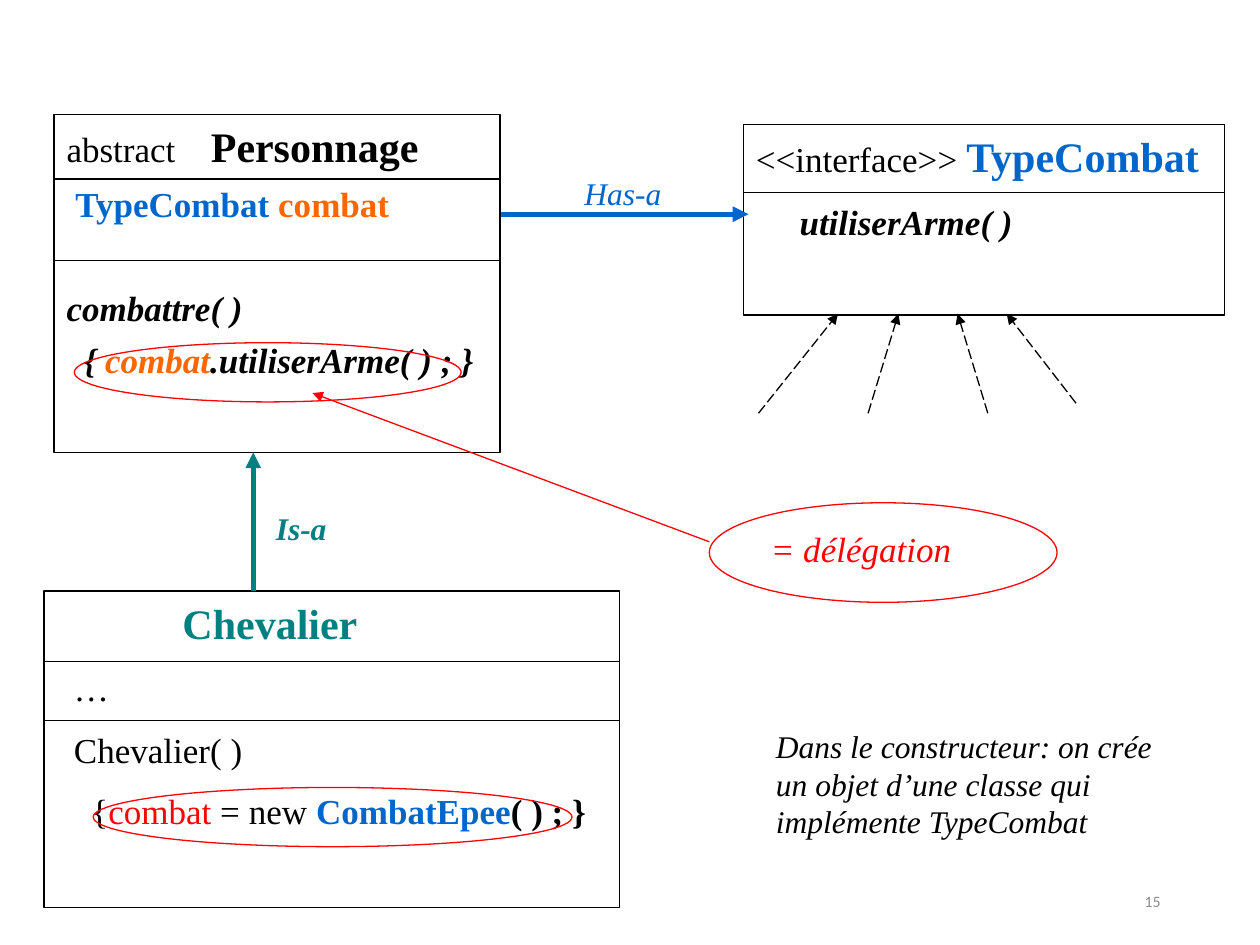
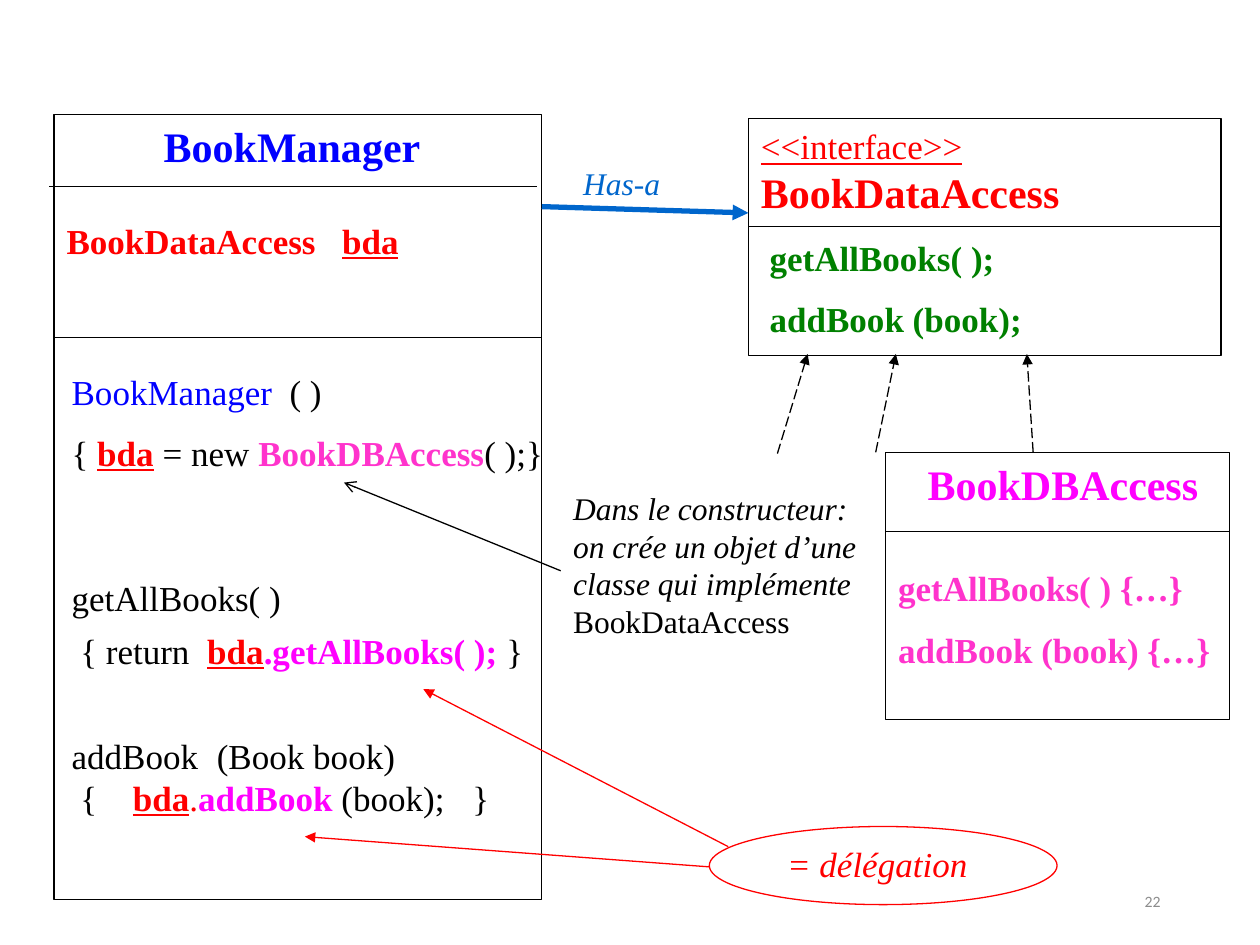
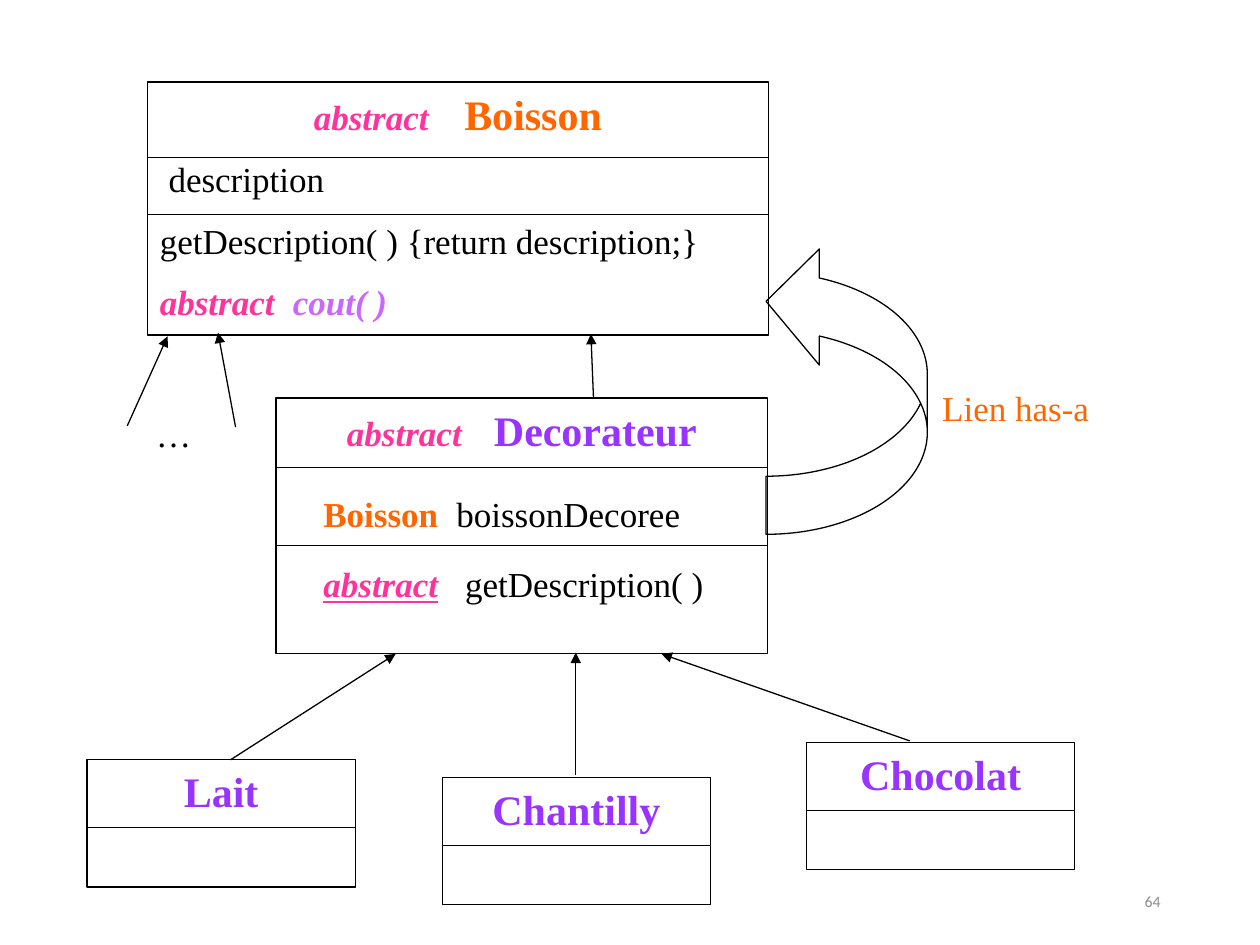
from dataclasses import dataclass

from lxml import etree
from pptx import Presentation
from pptx.dml.color import RGBColor
from pptx.enum.dml import MSO_LINE
from pptx.enum.shapes import MSO_CONNECTOR, MSO_SHAPE
from pptx.enum.text import MSO_ANCHOR, PP_ALIGN
from pptx.oxml.ns import qn
from pptx.util import Inches, Pt

DASH = MSO_LINE.LONG_DASH
STRAIGHT = MSO_CONNECTOR.STRAIGHT
RECTANGLE, ELLIPSE = MSO_SHAPE.RECTANGLE, MSO_SHAPE.OVAL
CURVED_ARROW = MSO_SHAPE.CURVED_RIGHT_ARROW
CENTER, RIGHT = PP_ALIGN.CENTER, PP_ALIGN.RIGHT
MIDDLE = MSO_ANCHOR.MIDDLE

COLORS = {
    "black": "000000", "white": "FFFFFF", "gray": "8C8C8C", "red": "FF0000",
    "blue": "0066CC", "pure blue": "0000FF", "teal": "008080", "green": "008000",
    "orange": "FF6600", "magenta": "FF00FF", "pink": "FF33CC", "rose": "FF3399",
    "lilac": "CC66FF", "violet": "9933FF",
}
BODY_FONT, NUMBER_FONT = "Times New Roman", "Calibri"
BODY, LABEL, NAME = 20, 18, 24
THIN, THICK = 0.75, 3
SUBCLASS_SIZE, SUBCLASS_HEADER = (2.13, 1.01), 0.54
NUMBER_AREA = (7.06, 6.95, 2.25, 0.4)


@dataclass
class Line:
    runs: list
    size: int = BODY
    before: float = 11
    spacing: float = 1.0
    indent: float = 0
    stops: tuple = ()
    align: object = None
    font: str = BODY_FONT


def plain(text, color="black", style="", **options):
    return Line([(text, color, style)], **options)


def class_name(text, color, **options):
    return plain(text, color, "b", size=NAME, **options)


def has_a(left, top):
    return ((left, top, 0.94, 0.4), [plain("Has-a", "blue", "i", size=LABEL)])


def delegation(left, top, **options):
    return ((left, top, 2.84, 0.43), [plain("= délégation", "red", "i", **options)])


def implementations(bottom_top_pairs):
    return [(start, end, "black", THIN, "triangle", DASH) for start, end in bottom_top_pairs]


COMBAT = {
    "number": "15",
    "classes": [
        ((0.43, 0.91, 3.54, 2.68), (1.42, 2.07), [
            Line([("abstract\t", "black", ""), ("Personnage", "black", "b", NAME)], stops=(82.5,)),
            Line([("TypeCombat", "blue", "b"), (" combat", "orange", "b")],
                 spacing=0.8, indent=5),
            plain("combattre( )", style="bi", spacing=0.8, before=40),
            Line([("{ ", "black", "bi"), ("combat", "orange", "bi"),
                  (".utiliserArme( ) ; }", "black", "bi")], spacing=0.8, indent=10),
        ]),
        ((5.9, 0.99, 3.82, 1.51), (1.53,), [
            Line([("<<interface>> ", "black", ""), ("TypeCombat", "blue", "b", NAME)]),
            plain("utiliserArme( )", style="bi", indent=25),
        ]),
        ((0.35, 4.69, 4.57, 2.51), (5.25, 5.72), [
            class_name("Chevalier", "teal", indent=72),
            plain("…", indent=10),
            plain("Chevalier( )", indent=10),
            Line([("{", "black", ""), ("combat", "red", ""), (" = new ", "black", ""),
                  ("CombatEpee", "blue", "b"), ("( ) ; }", "black", "b")], indent=20),
        ]),
    ],
    "texts": [
        has_a(4.54, 1.33),
        ((2.09, 3.99, 0.71, 0.4), [plain("Is-a", "teal", "bi", size=LABEL)]),
        ((6.06, 5.72, 3.31, 1), [
            plain("Dans le constructeur: on crée un objet d’une classe qui implémente TypeCombat",
                  style="i", size=LABEL)]),
        delegation(6.02, 4.14),
    ],
    "ellipses": [(5.63, 3.99, 2.76, 0.79), (0.59, 2.72, 3.07, 0.47), (0.74, 6.25, 3.8, 0.47)],
    "lines": [
        ((3.98, 1.7), (5.94, 1.7), "blue", THICK, "triangle"),
        ((2.01, 4.69), (2.01, 3.59), "teal", THICK, "triangle"),
        ((5.63, 4.3), (2.48, 3.12), "red", THIN, "triangle"),
    ] + implementations([
        ((6.02, 3.28), (6.65, 2.49)), ((6.89, 3.28), (7.13, 2.49)),
        ((7.84, 3.28), (7.6, 2.49)), ((8.54, 3.2), (7.99, 2.49))]),
}

BOOKS = {
    "number": "22",
    "classes": [
        ((0.43, 0.91, 3.87, 6.23), (2.68,), [
            class_name("BookManager", "pure blue", indent=55.5),
            Line([("BookDataAccess\t", "red", "b"), ("bda", "red", "bu")],
                 spacing=0.8, before=32, stops=(157.5,)),
        ]),
        ((5.94, 0.94, 3.75, 1.88), (1.8,), [
            Line([("<<interface>> ", "red", "u"), ("BookDataAccess", "red", "b", NAME)]),
            plain("getAllBooks( );", "green", "b", indent=5),
            plain("addBook (book);", "green", "b", indent=5),
        ]),
        ((7.03, 3.59, 2.73, 2.12), (4.22,), [
            class_name("BookDBAccess", "magenta", align=CENTER, indent=6)]),
    ],
    "texts": [
        has_a(4.53, 1.25),
        ((4.45, 3.83, 2.73, 1.31), [
            plain("Dans le constructeur:", style="i", size=LABEL),
            plain("on crée un objet d’une", style="i", size=LABEL, before=0),
            plain("classe qui implémente", style="i", size=LABEL, before=0),
            plain("BookDataAccess", size=LABEL, before=0)]),
        delegation(5.94, 6.64, indent=15),
        ((0.47, 2.89, 3.98, 1.2), [
            Line([("BookManager\t", "pure blue", ""), ("( )", "black", "")], stops=(124.5,)),
            Line([("{ ", "black", ""), ("bda", "red", "bu"), (" = new ", "black", ""),
                  ("BookDBAccess", "pink", "b"), ("( );}", "black", "")])]),
        ((0.47, 4.53, 4.06, 2.56), [
            plain("getAllBooks( )"),
            Line([("\t{ return\t", "black", ""), ("bda", "red", "bu"),
                  (".getAllBooks( ); ", "magenta", "b"), ("}", "black", "")],
                 before=6, stops=(5, 77.5)),
            plain("addBook\t(Book book)", before=36, stops=(83,)),
            Line([("\t{\t", "black", ""), ("bda", "red", "bu"), (".", "red", ""),
                  ("addBook ", "magenta", "b"), ("(book);\t}", "black", "")],
                 before=0, stops=(5, 35, 229))]),
        ((7.03, 4.45, 2.81, 1.2), [
            plain("getAllBooks( ) {…}", "pink", "b"),
            plain("addBook (book) {…}", "pink", "b")]),
    ],
    "ellipses": [(5.63, 6.56, 2.76, 0.62)],
    "lines": [
        ((0.39, 1.48), (4.26, 1.48), "black", THIN),
        ((4.3, 1.64), (5.94, 1.69), "blue", THICK, "triangle"),
        ((5.78, 6.72), (3.36, 5.47), "red", THIN, "triangle"),
        ((5.63, 6.88), (2.42, 6.64), "red", THIN, "triangle"),
        ((4.45, 4.53), (2.73, 3.83), "black", THIN, "arrow"),
    ] + implementations([
        ((6.17, 3.6), (6.41, 2.81)), ((6.95, 3.59), (7.11, 2.81)),
        ((8.2, 3.59), (8.15, 2.81))]),
}

SUBCLASSES = [("Lait", 0.69, 6.03), ("Chantilly", 3.51, 6.17), ("Chocolat", 6.4, 5.89)]
INHERITANCE = [
    ((1.01, 3.38), (1.33, 2.67)), ((1.87, 3.39), (1.73, 2.64)), ((4.71, 3.15), (4.69, 2.65)),
    ((1.83, 6.03), (3.14, 5.19)), ((4.57, 6.15), (4.57, 5.18)), ((7.22, 5.88), (5.25, 5.19)),
]
DRINKS = {
    "number": "64",
    "classes": [
        ((1.17, 0.65, 4.93, 2.01), (1.25, 1.7), [
            Line([("\tabstract\t", "rose", "bi"), ("Boisson", "orange", "b", NAME)],
                 stops=(88, 174)),
            plain("description", indent=5),
            plain("getDescription( ) {return description;}"),
            Line([("abstract\t", "rose", "bi"), ("cout( )", "lilac", "bi")], stops=(76,)),
        ]),
        ((2.19, 3.16, 3.9, 2.03), (3.71, 4.33), [
            Line([("\tabstract\t", "rose", "bi"), ("Decorateur", "violet", "b", NAME)],
                 stops=(33.5, 117.5)),
            Line([("\tBoisson\t", "orange", "b"), ("boissonDecoree", "black", "")],
                 spacing=0.85, before=25, stops=(20, 96)),
            Line([("\t", "black", ""), ("abstract", "rose", "biu"),
                  ("\tgetDescription( )", "black", "")],
                 spacing=0.85, before=20, stops=(20, 101)),
        ]),
    ] + [
        ((left, top, *SUBCLASS_SIZE), (top + SUBCLASS_HEADER,),
         [class_name(name, "violet", align=CENTER)])
        for name, left, top in SUBCLASSES
    ],
    "texts": [
        ((1.14, 3.26, 1.53, 0.4), [plain("…", spacing=0.9)]),
        ((7.38, 3.06, 1.53, 0.4), [plain("Lien has-a", "orange", spacing=0.9)]),
    ],
    "curved arrow": ((6.08, 1.93, 1.28, 2.31), (0.36, 0.72, 0.33)),
    "lines": [(start, end, "black", THIN, "triangle") for start, end in INHERITANCE],
}


def rgb(color):
    return RGBColor.from_string(COLORS[color])


def fill_text(frame, lines):
    frame.word_wrap = True
    for index, line in enumerate(lines):
        paragraph = frame.add_paragraph() if index else frame.paragraphs[0]
        paragraph.alignment = line.align or PP_ALIGN.LEFT
        paragraph.line_spacing = line.spacing
        paragraph.space_before = Pt(line.before if index else 0)
        paragraph.font.name = line.font
        paragraph.font.size = Pt(line.size)
        set_indent_and_stops(paragraph, line)
        for text, color, style, *size in line.runs:
            run = paragraph.add_run()
            run.text = text
            run.font.color.rgb = rgb(color)
            run.font.bold = "b" in style
            run.font.italic = "i" in style
            run.font.underline = "u" in style
            if size:
                run.font.size = Pt(size[0])


def set_indent_and_stops(paragraph, line):
    properties = paragraph._p.get_or_add_pPr()
    if line.indent:
        properties.set("marL", str(Pt(line.indent)))
        properties.set("indent", "0")
    if line.stops:
        tab_list = etree.Element(qn("a:tabLst"))
        for stop in line.stops:
            etree.SubElement(tab_list, qn("a:tab"), pos=str(Pt(stop)), algn="l")
        properties.find(qn("a:defRPr")).addprevious(tab_list)


def add_text(slide, area, lines):
    frame = slide.shapes.add_textbox(*map(Inches, area)).text_frame
    fill_text(frame, lines)
    return frame


def add_outline(slide, kind, area, color="black"):
    shape = slide.shapes.add_shape(kind, *map(Inches, area))
    shape.shadow.inherit = False
    shape.fill.background()
    shape.line.color.rgb = rgb(color)
    shape.line.width = Pt(THIN)
    return shape


def add_line(slide, start, end, color="black", width=THIN, head=None, dash=None):
    connector = slide.shapes.add_connector(STRAIGHT, *map(Inches, (*start, *end)))
    connector.line.color.rgb = rgb(color)
    connector.line.width = Pt(width)
    if dash:
        connector.line.dash_style = dash
    properties = connector._element.spPr
    if head:
        etree.SubElement(properties.find(qn("a:ln")), qn("a:tailEnd"), type=head)
    etree.SubElement(properties, qn("a:effectLst"))


def add_class(slide, area, dividers, lines):
    left, top, width, height = area
    box = add_outline(slide, RECTANGLE, area)
    box.text_frame.vertical_anchor = MSO_ANCHOR.TOP
    fill_text(box.text_frame, lines)
    for divider in dividers:
        add_line(slide, (left, divider), (left + width, divider))


def add_curved_arrow(slide, area, adjustments):
    arrow = add_outline(slide, CURVED_ARROW, area)
    arrow.rotation = 180
    for index, value in enumerate(adjustments):
        arrow.adjustments[index] = value


def build_slide(presentation, content):
    slide = presentation.slides.add_slide(presentation.slide_layouts[6])
    number = plain(content["number"], "gray", size=9, align=RIGHT, font=NUMBER_FONT)
    add_text(slide, NUMBER_AREA, [number]).vertical_anchor = MIDDLE
    for class_content in content["classes"]:
        add_class(slide, *class_content)
    for area, lines in content["texts"]:
        add_text(slide, area, lines)
    for area in content.get("ellipses", []):
        add_outline(slide, ELLIPSE, area, "red")
    if "curved arrow" in content:
        add_curved_arrow(slide, *content["curved arrow"])
    for line in content["lines"]:
        add_line(slide, *line)


def main():
    presentation = Presentation()
    presentation.slide_width, presentation.slide_height = Inches(10), Inches(7.5)
    for content in (COMBAT, BOOKS, DRINKS):
        build_slide(presentation, content)
    presentation.save("out.pptx")


if __name__ == "__main__":
    main()
